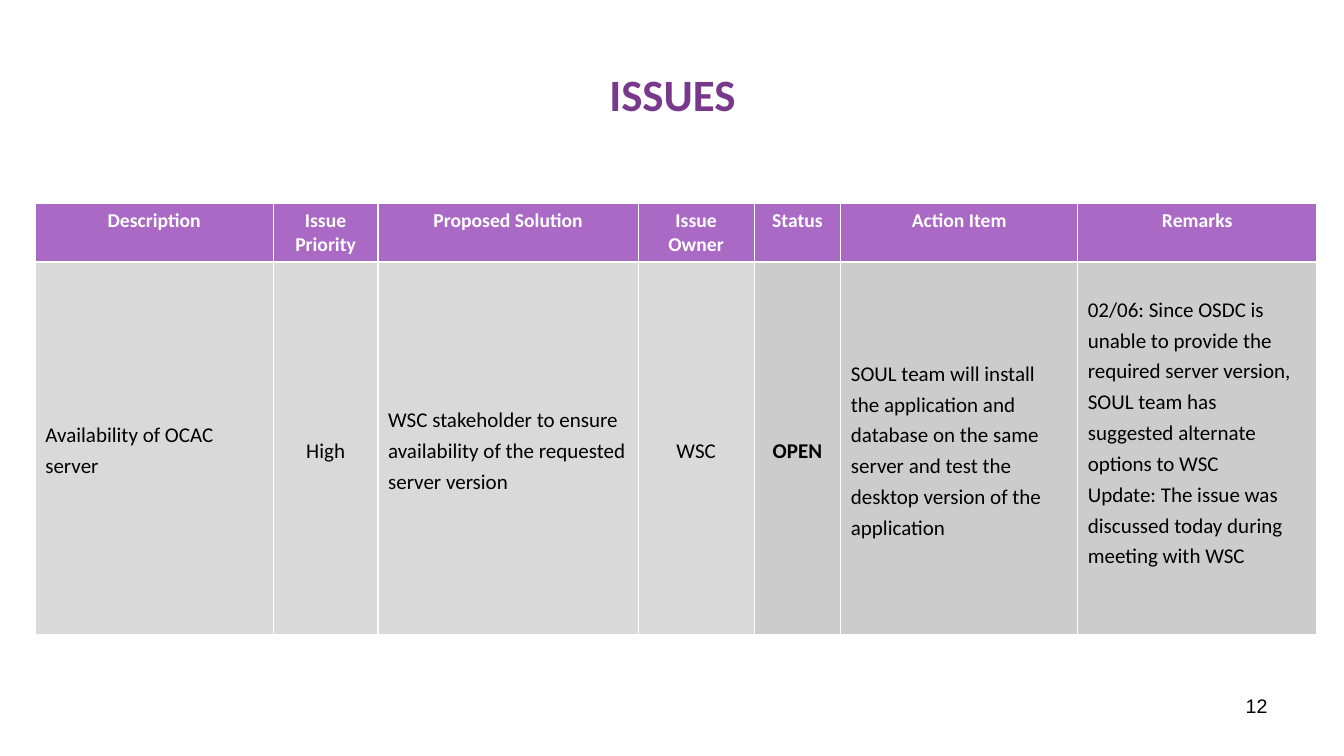
from lxml import etree
from pptx import Presentation
from pptx.dml.color import RGBColor
from pptx.enum.text import MSO_ANCHOR, PP_ALIGN
from pptx.oxml.ns import qn
from pptx.util import Inches, Pt

LEFT, CENTER, RIGHT = PP_ALIGN.LEFT, PP_ALIGN.CENTER, PP_ALIGN.RIGHT
TOP, MIDDLE = MSO_ANCHOR.TOP, MSO_ANCHOR.MIDDLE

# Content
TITLE = "ISSUES"
PAGE_NUMBER = "12"
COLORS = {
    "title": "78398D",
    "header": "A969C4",
    "light": "D9D9D9",
    "dark": "CCCCCC",
    "white": "FFFFFF",
    "black": "000000",
}
# heading, width, body paragraphs, body alignment, body fill, body bold
COLUMNS = [
    ("Description", 2.36, ["Availability of OCAC server"], LEFT, "light", False),
    ("Issue Priority", 1.04, ["High"], CENTER, "light", False),
    ("Proposed Solution", 2.58,
     ["WSC stakeholder to ensure availability of the requested server version"],
     LEFT, "light", False),
    ("Issue Owner", 1.15, ["WSC"], CENTER, "light", False),
    ("Status", 0.86, ["OPEN"], CENTER, "dark", True),
    ("Action Item", 2.35,
     ["SOUL team will install the application and database on the same server "
      "and test the desktop version of the application"], LEFT, "dark", False),
    ("Remarks", 2.37,
     ["02/06: Since OSDC is unable to provide the required server version, "
      "SOUL team has suggested alternate options to WSC",
      "Update: The issue was discussed today during meeting with WSC"],
     LEFT, "dark", False),
]
HEADER_HEIGHT, BODY_HEIGHT = 0.58, 3.7
REMARKS_BOTTOM_MARGIN = 0.4


def write(frame, lines, size, color, align, bold=False, font="Calibri", spacing=None):
    frame.word_wrap = True
    for i, line in enumerate(lines):
        paragraph = frame.paragraphs[0] if i == 0 else frame.add_paragraph()
        paragraph.text = line
        paragraph.alignment = align
        if spacing:
            paragraph.line_spacing = spacing
        paragraph.font.name = font
        paragraph.font.size = Pt(size)
        paragraph.font.bold = bold
        paragraph.font.color.rgb = RGBColor.from_string(COLORS[color])


def style_cell(cell, fill, anchor):
    cell.vertical_anchor = anchor
    properties = cell._tc.get_or_add_tcPr()
    for side in ("a:lnL", "a:lnR", "a:lnT", "a:lnB"):
        line = etree.SubElement(properties, qn(side), w=str(Pt(1)))
        solid = etree.SubElement(line, qn("a:solidFill"))
        etree.SubElement(solid, qn("a:srgbClr"), val=COLORS["white"])
    cell.fill.solid()
    cell.fill.fore_color.rgb = RGBColor.from_string(COLORS[fill])


prs = Presentation()
prs.slide_width, prs.slide_height = Inches(13.33), Inches(7.5)
slide = prs.slides.add_slide(prs.slide_layouts[5])

# Title
title = slide.shapes.title
title.left, title.top = Inches(0.67), Inches(0.3)
title.width, title.height = Inches(12), Inches(1.25)
title.text_frame.vertical_anchor = MIDDLE
write(title.text_frame, [TITLE], 32, "title", CENTER, bold=True)

# Page number
page_number = slide.shapes.add_textbox(Inches(9.56), Inches(6.83), Inches(3.11), Inches(0.52))
write(page_number.text_frame, [PAGE_NUMBER], 14, "black", RIGHT, font="Arial")

# Issues table
table_width = sum(column[1] for column in COLUMNS)
issues = slide.shapes.add_table(
    2, len(COLUMNS), Inches(0.35), Inches(2.02),
    Inches(table_width), Inches(HEADER_HEIGHT + BODY_HEIGHT)).table
issues.horz_banding = False
issues.rows[0].height = Inches(HEADER_HEIGHT)
issues.rows[1].height = Inches(BODY_HEIGHT)

for i, (heading, width, body, align, fill, bold) in enumerate(COLUMNS):
    issues.columns[i].width = Inches(width)
    header_cell, body_cell = issues.cell(0, i), issues.cell(1, i)
    style_cell(header_cell, "header", TOP)
    write(header_cell.text_frame, [heading], 14, "white", CENTER, bold=True)
    style_cell(body_cell, fill, MIDDLE)
    write(body_cell.text_frame, body, 15, "black", align, bold, spacing=1.2)

# The remarks sit slightly above the middle of their cell
issues.cell(1, len(COLUMNS) - 1).margin_bottom = Inches(REMARKS_BOTTOM_MARGIN)

prs.save("out.pptx")
